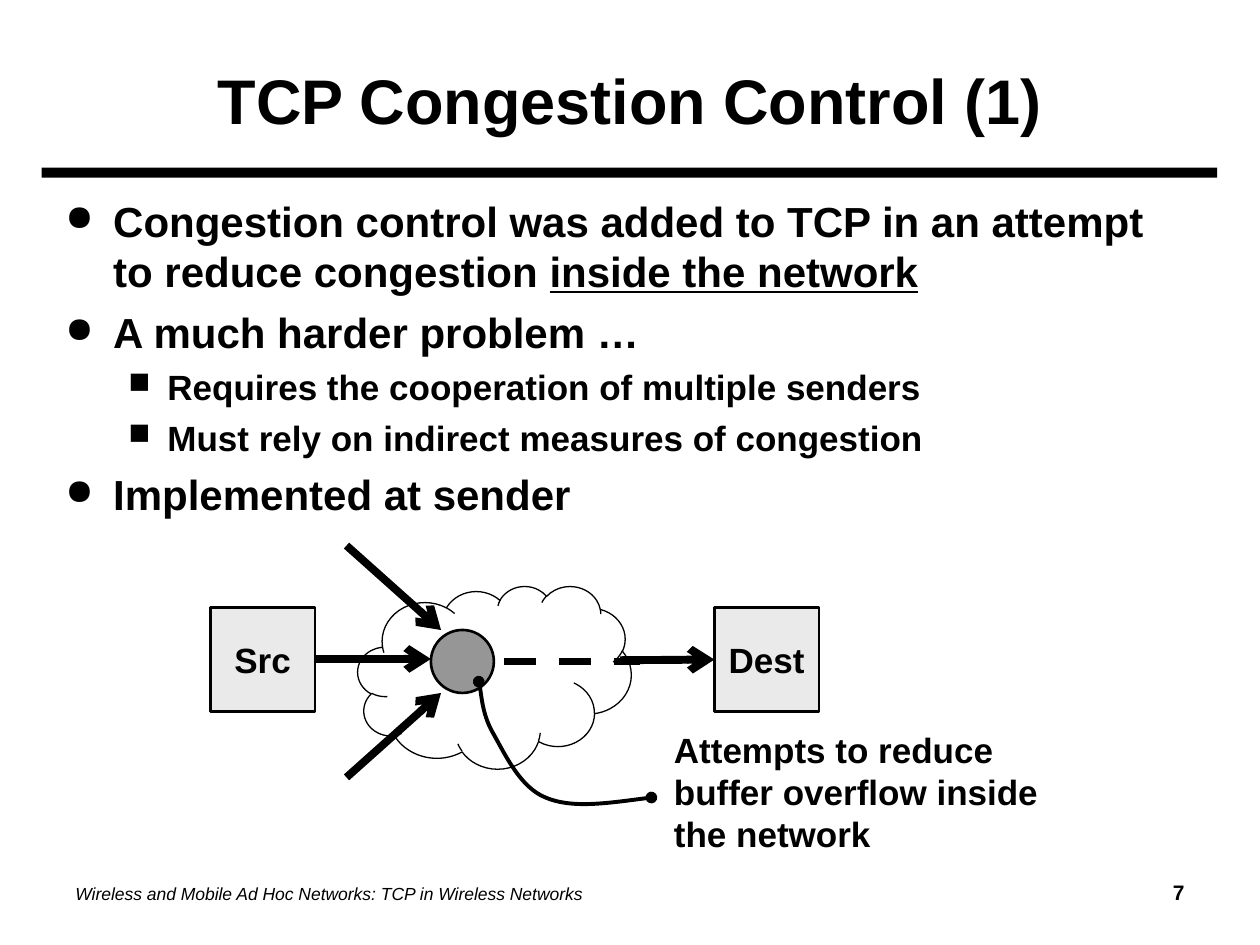
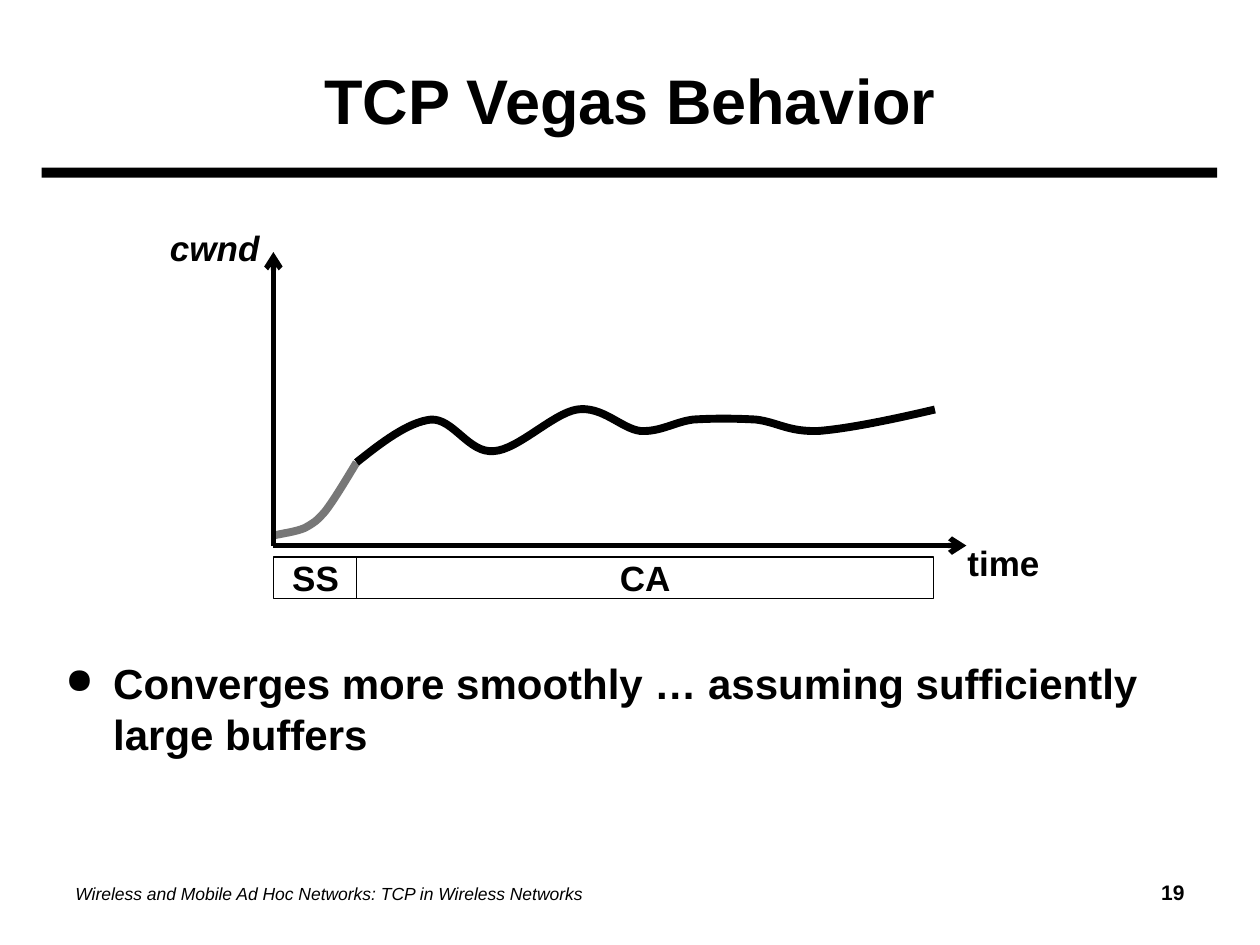
"""Build two lecture slides on TCP congestion control."""
from lxml.etree import SubElement
from pptx import Presentation
from pptx.dml.color import RGBColor
from pptx.enum.dml import MSO_LINE
from pptx.enum.shapes import MSO_CONNECTOR, MSO_SHAPE
from pptx.enum.text import MSO_ANCHOR, PP_ALIGN
from pptx.oxml.ns import qn
from pptx.util import Inches, Pt

rgb = RGBColor.from_string
BLACK, WHITE, BOX_GRAY, ROUTER_GRAY, START_GRAY = "000000", "FFFFFF", "EAEAEA", "969696", "777777"
FONT = "Arial"
COURSE = "Wireless and Mobile Ad Hoc Networks: TCP in Wireless Networks"
BULLETS = [("●", 24, 6, 0.38, -0.38), ("■", 20, 5, 0.81, -0.31)]


def outline(shape, width, colour=BLACK, fill=None, head=None, tail=None):
    if fill:
        shape.fill.solid()
        shape.fill.fore_color.rgb = rgb(fill)
    shape.line.color.rgb = rgb(colour)
    shape.line.width = Pt(width)
    stroke = shape.line._get_or_add_ln()
    for end, kind in (("a:headEnd", head), ("a:tailEnd", tail)):
        if kind:
            SubElement(stroke, qn(end), type=kind)
    SubElement(shape._element.spPr, qn("a:effectLst"))


def write(paragraph, text, size=20, style="b"):
    run = paragraph.add_run()
    run.text = text
    run.font.name = FONT
    run.font.size = Pt(size)
    run.font.color.rgb = rgb(BLACK)
    run.font.bold = "b" in style
    run.font.italic = "i" in style
    run.font.underline = "u" in style


deck = Presentation()
deck.slide_width, deck.slide_height = Inches(10), Inches(7.5)

pages = [
    ("TCP Congestion Control (1)", 7, 1.5, [
        (0, [("Congestion control was added to TCP in an attempt to reduce congestion ", "b"),
             ("inside the network", "bu")]),
        (0, [("A much harder problem …", "b")]),
        (1, [("Requires the cooperation of multiple senders", "b")]),
        (1, [("Must rely on indirect measures of congestion", "b")]),
        (0, [("Implemented at sender", "b")]),
    ]),
    ("TCP Vegas Behavior", 19, 5.17, [
        (0, [("Converges more smoothly … assuming sufficiently large buffers", "b")]),
    ]),
]

for heading, number, body_top, points in pages:
    slide = deck.slides.add_slide(deck.slide_layouts[6])

    band = slide.shapes.add_shape(MSO_SHAPE.RECTANGLE, Inches(0.33), Inches(1.33), Inches(9.33), Inches(0.08))
    band.shadow.inherit = False
    band.fill.solid()
    band.fill.fore_color.rgb = rgb(BLACK)
    band.line.fill.background()

    footer = slide.shapes.add_textbox(Inches(0.5), Inches(6.83), Inches(9), Inches(0.5)).text_frame
    footer.word_wrap = False
    footer.vertical_anchor = MSO_ANCHOR.MIDDLE
    tabs = SubElement(footer.paragraphs[0]._p.get_or_add_pPr(), qn("a:tabLst"))
    for stop, side in ((4.38, "ctr"), (8.82, "r")):
        SubElement(tabs, qn("a:tab"), pos=str(Inches(stop)), algn=side)
    write(footer.paragraphs[0], COURSE, 10, "i")
    write(footer.paragraphs[0], f" \t\t {number}", 12)

    title = slide.shapes.add_textbox(Inches(0.5), Inches(0.25), Inches(9), Inches(1.08)).text_frame
    title.word_wrap = True
    title.vertical_anchor = MSO_ANCHOR.MIDDLE
    title.paragraphs[0].alignment = PP_ALIGN.CENTER
    write(title.paragraphs[0], heading, 36)

    body = slide.shapes.add_textbox(Inches(0.42), Inches(body_top), Inches(9.08), Inches(6.75 - body_top)).text_frame
    body.word_wrap = True
    for index, (level, runs) in enumerate(points):
        mark, size, gap, margin, indent = BULLETS[level]
        point = body.add_paragraph() if index else body.paragraphs[0]
        point.level = level
        point.space_before = Pt(gap)
        layout = point._p.get_or_add_pPr()
        layout.set("marL", str(Inches(margin)))
        layout.set("indent", str(Inches(indent)))
        SubElement(SubElement(layout, qn("a:buClr")), qn("a:srgbClr"), val=BLACK)
        SubElement(layout, qn("a:buSzPct"), val="85000")
        SubElement(layout, qn("a:buChar"), char=mark)
        for text, style in runs:
            write(point, text, size, style)

control, vegas = deck.slides

cloud = control.shapes.add_shape(MSO_SHAPE.CLOUD, Inches(2.84), Inches(4.65), Inches(2.17), Inches(1.45))
outline(cloud, 0.75, fill=WHITE)

links = []
for x1, y1, x2, y2, tip in [
    (2.09, 5.23, 3.42, 5.23, "arrow"),
    (4, 5.25, 5.08, 5.25, None),
    (2.75, 4.33, 3.5, 5, "arrow"),
    (2.75, 6.17, 3.5, 5.5, "arrow"),
    (4.92, 5.24, 5.67, 5.24, "arrow"),
]:
    link = control.shapes.add_connector(MSO_CONNECTOR.STRAIGHT, Inches(x1), Inches(y1), Inches(x2), Inches(y2))
    if not tip:
        link.line.dash_style = MSO_LINE.DASH
    outline(link, 4.5, tail=tip)
    links.append(link)

router = control.shapes.add_shape(MSO_SHAPE.OVAL, Inches(3.42), Inches(5), Inches(0.5), Inches(0.5))
outline(router, 1.5, fill=ROUTER_GRAY)

boxes = {}
for slide, name, left, top, width, height, fill, weight in [
    (control, "Src", 1.67, 4.82, 0.83, 0.83, BOX_GRAY, 1.5),
    (control, "Dest", 5.67, 4.82, 0.83, 0.83, BOX_GRAY, 1.5),
    (vegas, "SS", 2.17, 4.42, 0.67, 0.33, WHITE, 1),
    (vegas, "CA", 2.83, 4.42, 4.58, 0.33, WHITE, 1),
]:
    box = slide.shapes.add_shape(MSO_SHAPE.RECTANGLE, Inches(left), Inches(top), Inches(width), Inches(height))
    outline(box, weight, fill=fill)
    box.text_frame.word_wrap = False
    box.text_frame.vertical_anchor = MSO_ANCHOR.MIDDLE
    box.text_frame.paragraphs[0].alignment = PP_ALIGN.CENTER
    write(box.text_frame.paragraphs[0], name)
    boxes[name] = box
links[-1].end_connect(boxes["Dest"], 1)

for slide, colour, weight, dot, knots in [
    (control, BLACK, 2.25, "oval", [
        (3.8, 5.41), (3.82, 5.48), (3.83, 5.68), (3.92, 5.83), (4.01, 5.99), (4.13, 6.25),
        (4.33, 6.33), (4.54, 6.42), (4.85, 6.37), (5.17, 6.33)]),
    (vegas, START_GRAY, 4.5, None, [
        (2.17, 4.25), (2.26, 4.23), (2.35, 4.22), (2.42, 4.19), (2.49, 4.15), (2.51, 4.14),
        (2.58, 4.06), (2.65, 3.97), (2.74, 3.82), (2.83, 3.67)]),
    (vegas, BLACK, 4.5, None, [
        (2.83, 3.67), (3.03, 3.51), (3.24, 3.35), (3.42, 3.33), (3.6, 3.32), (3.72, 3.6),
        (3.92, 3.58), (4.11, 3.57), (4.39, 3.28), (4.58, 3.25), (4.78, 3.22), (4.93, 3.4),
        (5.08, 3.42), (5.24, 3.43), (5.35, 3.35), (5.5, 3.33), (5.65, 3.32), (5.83, 3.32),
        (6, 3.33), (6.17, 3.35), (6.26, 3.43), (6.5, 3.42), (6.74, 3.4), (7.08, 3.33), (7.42, 3.25)]),
]:
    start, *rest = [(Inches(x), Inches(y)) for x, y in knots]
    builder = slide.shapes.build_freeform(*start)
    builder.add_line_segments(rest, close=False)
    curve = builder.convert_to_shape()
    route = curve._element.find(".//" + qn("a:path"))
    segments = route.findall(qn("a:lnTo"))
    for first in range(0, len(segments), 3):
        bezier = SubElement(route, qn("a:cubicBezTo"))
        for segment in segments[first:first + 3]:
            bezier.append(segment[0])
            route.remove(segment)
    curve.fill.background()
    outline(curve, weight, colour, head=dot, tail=dot)

for tip_x, tip_y in [(2.17, 2), (7.67, 4.33)]:
    axis = vegas.shapes.add_connector(
        MSO_CONNECTOR.STRAIGHT, Inches(tip_x), Inches(tip_y), Inches(2.17), Inches(4.33))
    outline(axis, 3, head="arrow")

for slide, lines, left, top, width, height, style in [
    (control, ["Attempts to reduce", "buffer overflow inside", "the network"], 5.25, 5.73, 3.09, 1.1, "b"),
    (vegas, ["time"], 7.58, 4.25, 0.77, 0.44, "b"),
    (vegas, ["cwnd"], 1.25, 1.75, 0.91, 0.44, "bi"),
]:
    label = slide.shapes.add_textbox(Inches(left), Inches(top), Inches(width), Inches(height)).text_frame
    label.word_wrap = False
    for index, line in enumerate(lines):
        if index:
            label.paragraphs[0].add_line_break()
        write(label.paragraphs[0], line, style=style)

deck.save("out.pptx")
